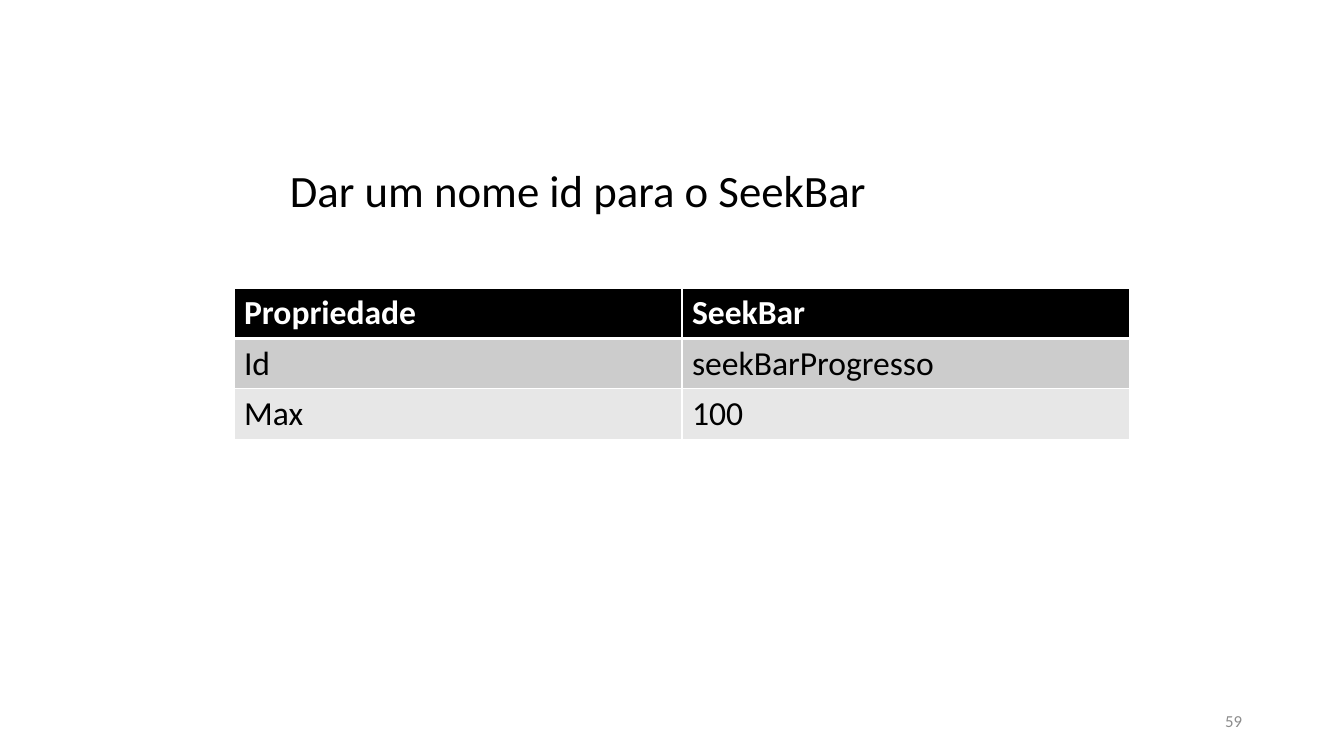
import lxml.etree
import pptx
import pptx.dml.color
import pptx.enum.text
import pptx.oxml.ns
import pptx.util

SCALE = 914400 / 100.8


def px(*lengths):
    return [pptx.util.Emu(round(length * SCALE)) for length in lengths]


def color(value):
    return pptx.dml.color.RGBColor.from_string(value)


deck = pptx.Presentation()
deck.slide_width, deck.slide_height = px(1344, 756)
page = deck.slides.add_slide(deck.slide_layouts[6])

ALIGN = pptx.enum.text.PP_ALIGN
ANCHOR = pptx.enum.text.MSO_ANCHOR
texts = [
    ("Dar um nome id para o SeekBar", (280, 158, 850, 65), 32, "000000", ALIGN.LEFT, ANCHOR.TOP),
    ("59", (950, 701, 302, 40), 12, "8C8C8C", ALIGN.RIGHT, ANCHOR.MIDDLE),
]
for text, place, size, ink, align, anchor in texts:
    box = page.shapes.add_textbox(*px(*place))
    box.text_frame.word_wrap = True
    box.text_frame.vertical_anchor = anchor
    para = box.text_frame.paragraphs[0]
    para.alignment = align
    span = para.add_run()
    span.text = text
    span.font.name = "Calibri"
    span.font.size = pptx.util.Pt(size)
    span.font.color.rgb = color(ink)

rows = [
    (("Propriedade", "SeekBar"), "000000", "FFFFFF", 1, 3),
    (("Id", "seekBarProgresso"), "CCCCCC", "000000", 3, 1),
    (("Max", "100"), "E7E7E7", "000000", 1, 1),
]
table = page.shapes.add_table(len(rows), 2, *px(234, 288, 896, 150)).table
for row_index, (words, fill, ink, top, bottom) in enumerate(rows):
    for column_index, word in enumerate(words):
        cell = table.cell(row_index, column_index)
        properties = cell._tc.get_or_add_tcPr()
        for side, width in (("L", 1), ("R", 1), ("T", top), ("B", bottom)):
            border = lxml.etree.SubElement(
                properties, pptx.oxml.ns.qn(f"a:ln{side}"), w=str(pptx.util.Pt(width))
            )
            paint = lxml.etree.SubElement(border, pptx.oxml.ns.qn("a:solidFill"))
            lxml.etree.SubElement(paint, pptx.oxml.ns.qn("a:srgbClr"), val="FFFFFF")
        cell.fill.solid()
        cell.fill.fore_color.rgb = color(fill)
        span = cell.text_frame.paragraphs[0].add_run()
        span.text = word
        span.font.name = "Calibri"
        span.font.size = pptx.util.Pt(24)
        span.font.bold = row_index == 0
        span.font.color.rgb = color(ink)

deck.save("out.pptx")
